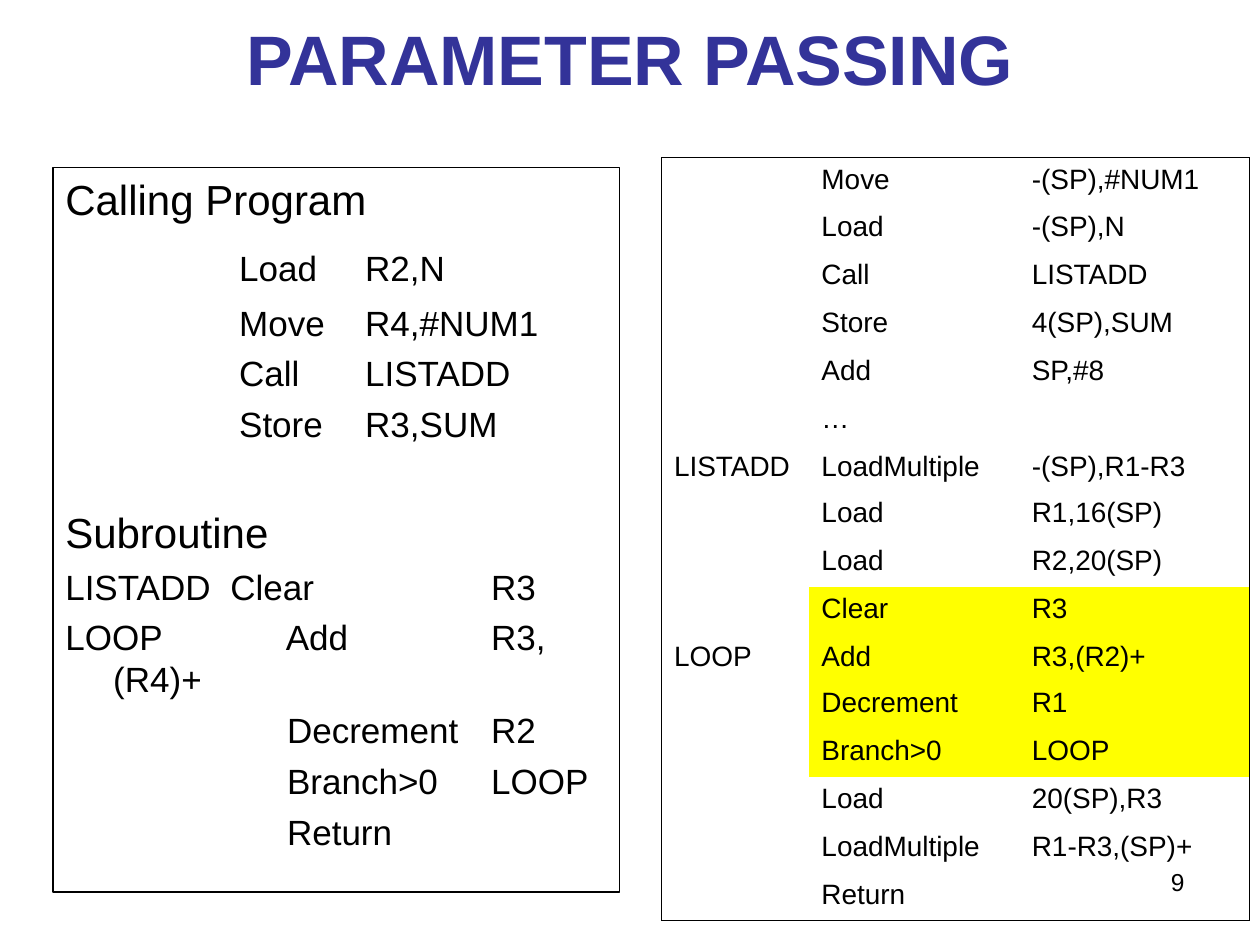
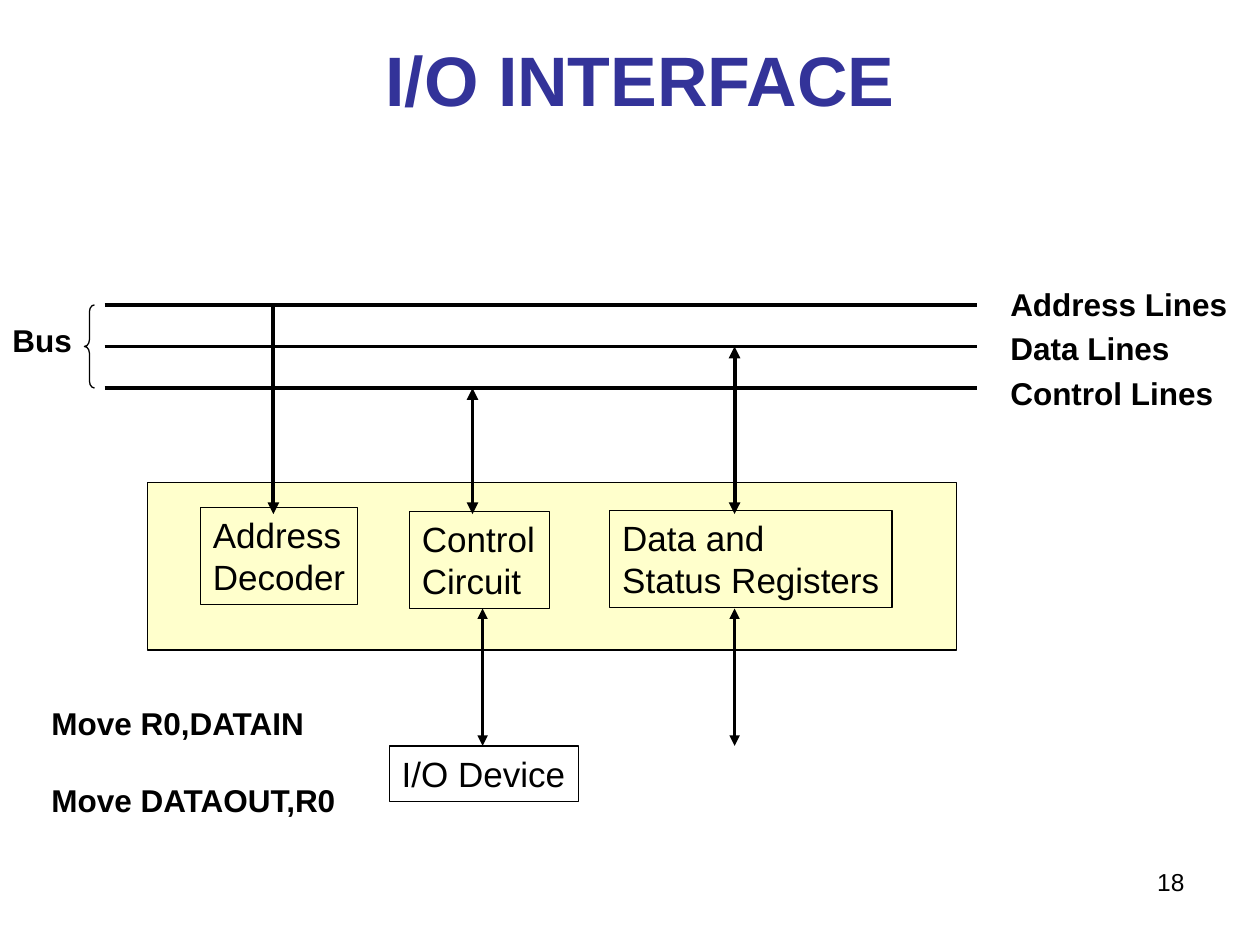
from dataclasses import dataclass

from lxml.etree import SubElement
from pptx import Presentation
from pptx.dml.color import RGBColor
from pptx.enum.shapes import MSO_CONNECTOR, MSO_SHAPE
from pptx.enum.text import MSO_ANCHOR, MSO_AUTO_SIZE, PP_ALIGN
from pptx.oxml.ns import qn
from pptx.util import Inches, Pt


@dataclass(frozen=True)
class Theme:
    font: str = "Arial"
    ink: RGBColor = RGBColor(0x00, 0x00, 0x00)
    heading: RGBColor = RGBColor(0x33, 0x33, 0x99)
    highlight: RGBColor = RGBColor(0xFF, 0xFF, 0x00)
    panel: RGBColor = RGBColor(0xFF, 0xFF, 0xCC)
    title_size: int = 40
    section_size: int = 24
    body_size: int = 20
    label_size: int = 18
    table_size: int = 16
    number_size: int = 14
    outline: float = 0.75
    table_border: float = 0.45
    thin_arrow: float = 1.5
    bus_line: float = 2.25


PLAIN_TABLE = "{2D5ABB26-0587-4C30-8999-92F81FD0307C}"

CALLING_STOPS = (1.38, 2.38)
SUBROUTINE_STOPS = (1.76, 3.38)
LABEL_STOPS = (1.31, 3.38)
LOOP_STOPS = (0.38, 1.75, 3.38)
REGISTER_PROGRAM = [
    ("Calling Program", 0, ()),
    ("\tLoad\tR2,N", 13, CALLING_STOPS),
    ("\tMove\tR4,#NUM1", 7, CALLING_STOPS),
    ("\tCall\tLISTADD", 5, CALLING_STOPS),
    ("\tStore\tR3,SUM", 5, CALLING_STOPS),
    ("Subroutine", 35, ()),
    ("LISTADD\tClear\tR3", 5, LABEL_STOPS),
    ("LOOP\tAdd\tR3,\v\t(R4)+", 5, LOOP_STOPS),
    ("\tDecrement\tR2", 5, SUBROUTINE_STOPS),
    ("\tBranch>0\tLOOP", 5, SUBROUTINE_STOPS),
    ("\tReturn", 5, SUBROUTINE_STOPS),
]

STACK_PROGRAM = [
    ("", "Move", "-(SP),#NUM1"),
    ("", "Load", "-(SP),N"),
    ("", "Call", "LISTADD"),
    ("", "Store", "4(SP),SUM"),
    ("", "Add", "SP,#8"),
    ("", "…", ""),
    ("LISTADD", "LoadMultiple", "-(SP),R1-R3"),
    ("", "Load", "R1,16(SP)"),
    ("", "Load", "R2,20(SP)"),
    ("", "Clear", "R3"),
    ("LOOP", "Add", "R3,(R2)+"),
    ("", "Decrement", "R1"),
    ("", "Branch>0", "LOOP"),
    ("", "Load", "20(SP),R3"),
    ("", "LoadMultiple", "R1-R3,(SP)+"),
    ("", "Return", ""),
]
LOOP_ROWS = range(9, 13)


class SlideBuilder:
    def __init__(self, deck, theme):
        self.deck = deck
        self.theme = theme
        self.page = None

    def style(self, paragraph, size, bold=False, color=None):
        font = paragraph.font
        font.name = self.theme.font
        font.size = Pt(size)
        font.bold = bold
        font.color.rgb = color or self.theme.ink

    def start(self, title, number, left, top, width, height):
        self.page = self.deck.slides.add_slide(self.deck.slide_layouts[5])
        box = self.page.shapes.title
        box.left, box.top = Inches(left), Inches(top)
        box.width, box.height = Inches(width), Inches(height)
        frame = box.text_frame
        frame.text = title
        frame.auto_size = MSO_AUTO_SIZE.NONE
        frame.vertical_anchor = MSO_ANCHOR.MIDDLE
        paragraph = frame.paragraphs[0]
        paragraph.alignment = PP_ALIGN.CENTER
        self.style(paragraph, self.theme.title_size, True, self.theme.heading)
        self.text([str(number)], 7.17, 6.83, 2.33, 0.52,
                  self.theme.number_size, align=PP_ALIGN.RIGHT, wrap=True)

    def text(self, lines, left, top, width, height, size, bold=False,
             align=PP_ALIGN.LEFT, wrap=False, gap=0, outlined=False):
        box = self.page.shapes.add_textbox(
            Inches(left), Inches(top), Inches(width), Inches(height))
        if outlined:
            self.outline(box)
        frame = box.text_frame
        frame.word_wrap = wrap
        frame.auto_size = MSO_AUTO_SIZE.NONE if wrap else MSO_AUTO_SIZE.SHAPE_TO_FIT_TEXT
        for index, line in enumerate(lines):
            paragraph = frame.add_paragraph() if index else frame.paragraphs[0]
            paragraph.text = line
            paragraph.alignment = align
            if index and gap:
                paragraph.space_before = Pt(gap)
            self.style(paragraph, size, bold)

    def outline(self, shape):
        shape.line.color.rgb = self.theme.ink
        shape.line.width = Pt(self.theme.outline)

    def shape(self, preset, left, top, width, height, fill=None):
        shape = self.page.shapes.add_shape(
            preset, Inches(left), Inches(top), Inches(width), Inches(height))
        shape.shadow.inherit = False
        self.outline(shape)
        if fill is None:
            shape.fill.background()
        else:
            shape.fill.solid()
            shape.fill.fore_color.rgb = fill
        return shape

    def code(self, lines, left, top, width, height):
        box = self.shape(MSO_SHAPE.RECTANGLE, left, top, width, height)
        frame = box.text_frame
        frame.word_wrap = True
        frame.vertical_anchor = MSO_ANCHOR.TOP
        for index, (line, space, stops) in enumerate(lines):
            paragraph = frame.add_paragraph() if index else frame.paragraphs[0]
            paragraph.text = line
            paragraph.alignment = PP_ALIGN.LEFT
            paragraph.space_before = Pt(space)
            if stops:
                tabs = SubElement(paragraph._p.get_or_add_pPr(), qn("a:tabLst"))
                for stop in stops:
                    SubElement(tabs, qn("a:tab"), pos=str(Inches(stop)), algn="l")
            self.style(paragraph, self.theme.body_size if stops else self.theme.section_size)

    def border(self, cell, edges):
        properties = cell._tc.get_or_add_tcPr()
        for edge in edges:
            line = SubElement(properties, qn(f"a:ln{edge}"),
                              w=str(Pt(self.theme.table_border)))
            fill = SubElement(line, qn("a:solidFill"))
            SubElement(fill, qn("a:srgbClr"), val=str(self.theme.ink))

    def table(self, rows, left, top, widths, highlighted):
        last_row, last_column = len(rows) - 1, len(widths) - 1
        heights = [0.37 if all(values) else 0.38 for values in rows]
        table = self.page.shapes.add_table(
            len(rows), len(widths), Inches(left), Inches(top),
            Inches(sum(widths)), Inches(sum(heights))).table
        table.first_row = table.horz_banding = False
        table._tbl.tblPr.find(qn("a:tableStyleId")).text = PLAIN_TABLE
        for column, width in zip(table.columns, widths):
            column.width = Inches(width)
        for row_index, values in enumerate(rows):
            table.rows[row_index].height = Inches(heights[row_index])
            for column_index, value in enumerate(values):
                cell = table.cell(row_index, column_index)
                outer = {"L": column_index == 0, "R": column_index == last_column,
                         "T": row_index == 0, "B": row_index == last_row}
                self.border(cell, [edge for edge, drawn in outer.items() if drawn])
                if row_index in highlighted and column_index:
                    cell.fill.solid()
                    cell.fill.fore_color.rgb = self.theme.highlight
                else:
                    cell.fill.background()
                cell.text = value
                self.style(cell.text_frame.paragraphs[0], self.theme.table_size)

    def line(self, start, end, width, heads=()):
        line = self.page.shapes.add_connector(
            MSO_CONNECTOR.STRAIGHT, *(Inches(value) for value in (*start, *end)))
        line.line.color.rgb = self.theme.ink
        line.line.width = Pt(width)
        for head in heads:
            SubElement(line.line._get_or_add_ln(), qn(f"a:{head}"), type="triangle")
        SubElement(line._element.spPr, qn("a:effectLst"))


def parameter_passing(builder):
    builder.start("PARAMETER PASSING", 9, 0.5, 0, 9, 0.92)
    builder.table(STACK_PROGRAM, 5.25, 1.25, (1.17, 1.67, 1.83), LOOP_ROWS)
    builder.code(REGISTER_PROGRAM, 0.42, 1.33, 4.5, 5.75)


def interface(builder):
    theme = builder.theme
    both = ("headEnd", "tailEnd")
    address, data, control = 2.42, 2.75, 3.08
    builder.start("I/O INTERFACE", 18, 0.83, 0.25, 8.5, 0.75)

    for level in (address, data, control):
        builder.line((0.83, level), (7.75, level), theme.bus_line)
    for label, top, width in (("Address Lines", 2.21, 1.93),
                              ("Data Lines", 2.56, 1.48),
                              ("Control Lines", 2.92, 1.82)):
        builder.text([label], 7.92, top, width, 0.4, theme.label_size, bold=True)
    builder.text(["Bus"], 0, 2.5, 0.67, 0.4, theme.label_size, bold=True)
    brace = builder.shape(MSO_SHAPE.LEFT_BRACE, 0.67, address, 0.08, control - address)
    brace.adjustments[0] = 0.67

    builder.shape(MSO_SHAPE.RECTANGLE, 1.17, 3.83, 6.42, 1.33, theme.panel)
    for lines, left, top, width, height in (
            (("Address", "Decoder"), 1.59, 4.03, 1.25, 0.77),
            (("Control", "Circuit"), 3.25, 4.06, 1.11, 0.77),
            (("Data and", "Status Registers"), 4.84, 4.05, 2.24, 0.77),
            (("I/O Device",), 3.09, 5.92, 1.5, 0.44)):
        builder.text(lines, left, top, width, height, theme.body_size, outlined=True)

    for x, level, heads in ((2.17, address, ("tailEnd",)),
                            (3.75, control, both), (5.83, data, both)):
        builder.line((x, level), (x, 4.08), theme.bus_line, heads)
    for x in (3.83, 5.83):
        builder.line((x, 4.83), (x, 5.92), theme.thin_arrow, both)
    builder.text(["Move R0,DATAIN", "Move DATAOUT,R0"], 0.31, 5.54, 2.52, 1,
                 theme.label_size, bold=True, gap=22)


def main():
    deck = Presentation()
    deck.slide_width, deck.slide_height = Inches(10), Inches(7.5)
    builder = SlideBuilder(deck, Theme())
    parameter_passing(builder)
    interface(builder)
    deck.save("out.pptx")


if __name__ == "__main__":
    main()
